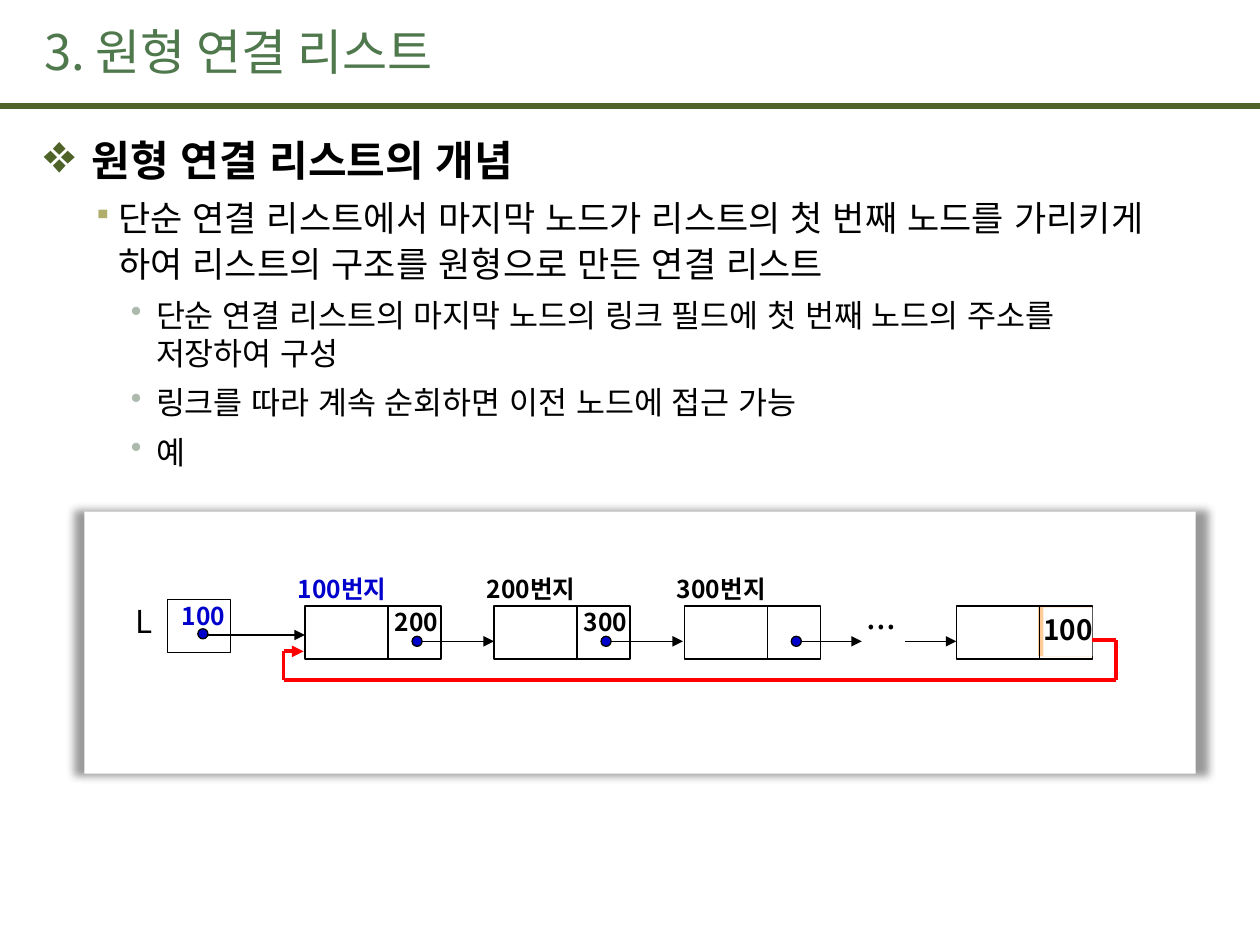
from dataclasses import dataclass
from itertools import pairwise

from lxml.etree import SubElement
from pptx import Presentation
from pptx.dml.color import RGBColor
from pptx.enum.shapes import MSO_CONNECTOR, MSO_SHAPE
from pptx.enum.text import MSO_ANCHOR, PP_ALIGN
from pptx.oxml.ns import qn
from pptx.util import Inches, Pt


@dataclass(frozen=True)
class Theme:
    sans: str = "Noto Sans CJK KR"
    body: str = "Arial"
    black: str = "000000"
    white: str = "FFFFFF"
    title: str = "4F784C"
    rule: str = "4F6228"
    blue: str = "0000CC"
    red: str = "FF0000"
    peach: str = "FFCC99"
    square_bullet: str = "B1AE6B"
    round_bullet: str = "ADB9AD"
    title_size: int = 28
    heading_size: int = 24
    point_size: int = 20
    detail_size: int = 18
    value_size: int = 16
    label_size: int = 14
    thin: float = 0.75
    loop: float = 2.25
    thick: float = 3.75


THEME = Theme()


def add_xml(parent, tag, **attributes):
    return SubElement(parent, qn(tag), attributes)


def write(para, text, size, color=THEME.black, font=THEME.sans, bold=False,
          align=PP_ALIGN.LEFT):
    para.text = text
    para.alignment = align
    for span in para.runs:
        span.font.size = Pt(size)
        span.font.bold = bold
        span.font.name = font
        span.font.color.rgb = RGBColor.from_string(color)
        add_xml(span.font._element, "a:ea", typeface=font)


class SlideBuilder:
    def __init__(self, slide, theme):
        self.slide = slide
        self.theme = theme

    def title(self, text):
        box = self.slide.shapes.title
        box.left, box.top = Inches(0.25), Inches(0.09)
        box.width, box.height = Inches(8.27), Inches(0.63)
        box.text_frame.vertical_anchor = MSO_ANCHOR.MIDDLE
        write(box.text_frame.paragraphs[0], text, self.theme.title_size,
              color=self.theme.title)

    def text(self, text, left, top, width, height, size, inset=0.1,
             anchor=MSO_ANCHOR.BOTTOM, **style):
        box = self.slide.shapes.add_textbox(
            Inches(left), Inches(top), Inches(width), Inches(height))
        frame = box.text_frame
        frame.word_wrap = True
        frame.vertical_anchor = anchor
        frame.margin_left = frame.margin_right = Inches(inset)
        write(frame.paragraphs[0], text, size, **style)
        return box

    def outline(self, items):
        theme = self.theme
        levels = [
            (theme.heading_size, 0.38, -0.38, "❖", theme.rule, 130),
            (theme.point_size, 0.59, -0.2, "▪", theme.square_bullet, 75),
            (theme.detail_size, 0.89, -0.2, "•", theme.round_bullet, 100),
        ]
        box = self.slide.shapes.add_textbox(
            Inches(0.25), Inches(1.02), Inches(9.5), Inches(6.25))
        frame = box.text_frame
        frame.word_wrap = True
        for index, (level, text) in enumerate(items):
            size, margin, indent, bullet, color, percent = levels[level]
            para = frame.add_paragraph() if index else frame.paragraphs[0]
            properties = para._p.get_or_add_pPr()
            properties.set("marL", str(Inches(margin)))
            properties.set("indent", str(Inches(indent)))
            add_xml(add_xml(properties, "a:buClr"), "a:srgbClr", val=color)
            add_xml(properties, "a:buSzPct", val=str(percent * 1000))
            add_xml(properties, "a:buChar", char=bullet)
            para.level = level
            if level:
                para.space_before = Pt(size * 0.2)
                para.space_after = Pt(3)
            if level == 1:
                para.line_spacing = 1.1
            write(para, text, size, font=theme.body, bold=level == 0)

    def shape(self, left, top, width, height, kind=MSO_SHAPE.RECTANGLE,
              fill=None, line=None):
        shape = self.slide.shapes.add_shape(
            kind, Inches(left), Inches(top), Inches(width), Inches(height))
        shape.shadow.inherit = False
        if fill:
            shape.fill.solid()
            shape.fill.fore_color.rgb = RGBColor.from_string(fill)
        else:
            shape.fill.background()
        if line:
            shape.line.color.rgb = RGBColor.from_string(line)
            shape.line.width = Pt(self.theme.thin)
        else:
            shape.line.fill.background()
        return shape

    def panel(self, left, top, width, height):
        panel = self.shape(left, top, width, height, fill=self.theme.white)
        effects = panel._element.spPr.find(qn("a:effectLst"))
        shadow = add_xml(effects, "a:outerShdw", blurRad=str(Pt(5)), dist="0",
                         sx="102000", sy="102000", algn="ctr", rotWithShape="0")
        color = add_xml(shadow, "a:srgbClr", val=self.theme.black)
        add_xml(color, "a:alpha", val="40000")

    def line(self, start, end, color=THEME.black, width=THEME.thin, arrow=False):
        line = self.slide.shapes.add_connector(
            MSO_CONNECTOR.STRAIGHT, *map(Inches, (*start, *end)))
        line.line.color.rgb = RGBColor.from_string(color)
        line.line.width = Pt(width)
        if arrow:
            add_xml(line.line._get_or_add_ln(), "a:tailEnd", type="triangle")
        add_xml(line._element.spPr, "a:effectLst")

    def dot(self, left, top):
        self.shape(left, top, 0.08, 0.08, MSO_SHAPE.OVAL,
                   fill=self.theme.blue, line=self.theme.black)

    def value(self, text, left, top, color=THEME.black):
        self.text(text, left, top, 0.45, 0.31, self.theme.label_size,
                  inset=0, color=color, bold=True, align=PP_ALIGN.CENTER)

    def node(self, left):
        self.shape(left, 4.81, 1.08, 0.42, line=self.theme.black)
        self.line((left + 0.66, 4.81), (left + 0.66, 5.22))

    def linked_node(self, left, address, value, target, color):
        self.node(left)
        self.line((left + 0.91, 5.09), (target, 5.09), arrow=True)
        self.text(address, left - 0.24, 4.45, 1.07, 0.39,
                  self.theme.label_size, color=color, bold=True,
                  align=PP_ALIGN.CENTER)
        if value:
            self.value(value, left + 0.66, 4.79)
        self.dot(left + 0.85, 5.05)

    def head_pointer(self):
        self.value("100", 1.39, 4.74, color=self.theme.blue)
        self.shape(1.33, 4.76, 0.5, 0.42, line=self.theme.black)
        self.line((1.58, 5.04), (2.42, 5.04), arrow=True)
        label = self.text("L", 0.98, 4.73, 0.32, 0.4, self.theme.detail_size,
                          anchor=MSO_ANCHOR.TOP)
        label.text_frame.word_wrap = False
        self.dot(1.57, 4.99)

    def last_node(self, left):
        self.shape(left + 0.65, 4.81, 0.43, 0.4, fill=self.theme.peach)
        self.node(left)
        cell = self.shape(left + 0.69, 4.82, 0.39, 0.39, fill=self.theme.white)
        frame = cell.text_frame
        frame.word_wrap = False
        frame.margin_left = frame.margin_right = frame.margin_top = 0
        frame.vertical_anchor = MSO_ANCHOR.MIDDLE
        write(frame.paragraphs[0], "100", self.theme.value_size, bold=True)

    def return_link(self):
        corners = [(8.67, 5.08), (8.86, 5.08), (8.86, 5.4),
                   (2.25, 5.4), (2.25, 5.17), (2.41, 5.17)]
        for start, end in pairwise(corners):
            self.line(start, end, color=self.theme.red, width=self.theme.loop,
                      arrow=end == corners[-1])


def main():
    deck = Presentation()
    deck.slide_width, deck.slide_height = Inches(10), Inches(7.5)
    page = SlideBuilder(deck.slides.add_slide(deck.slide_layouts[5]), THEME)
    page.line((0, 0.84), (10, 0.84), color=THEME.rule, width=THEME.thick)
    page.title("3. 원형 연결 리스트")
    page.outline([
        (0, "원형 연결 리스트의 개념"),
        (1, "단순 연결 리스트에서 마지막 노드가 리스트의 첫 번째 노드를 가리키게 "
            "하여 리스트의 구조를 원형으로 만든 연결 리스트"),
        (2, "단순 연결 리스트의 마지막 노드의 링크 필드에 첫 번째 노드의 주소를 "
            "\v저장하여 구성"),
        (2, "링크를 따라 계속 순회하면 이전 노드에 접근 가능"),
        (2, "예"),
    ])
    page.panel(0.67, 4.06, 8.82, 2.08)
    page.head_pointer()
    page.linked_node(2.42, "100번지", "200", 3.92, THEME.blue)
    page.linked_node(3.92, "200번지", "300", 5.42, THEME.black)
    page.linked_node(5.43, "300번지", None, 6.84, THEME.black)
    page.text("...", 6.78, 4.67, 0.75, 0.5, THEME.point_size,
              anchor=MSO_ANCHOR.TOP)
    page.line((7.18, 5.09), (7.59, 5.09), arrow=True)
    page.last_node(7.59)
    page.return_link()
    deck.save("out.pptx")


if __name__ == "__main__":
    main()
